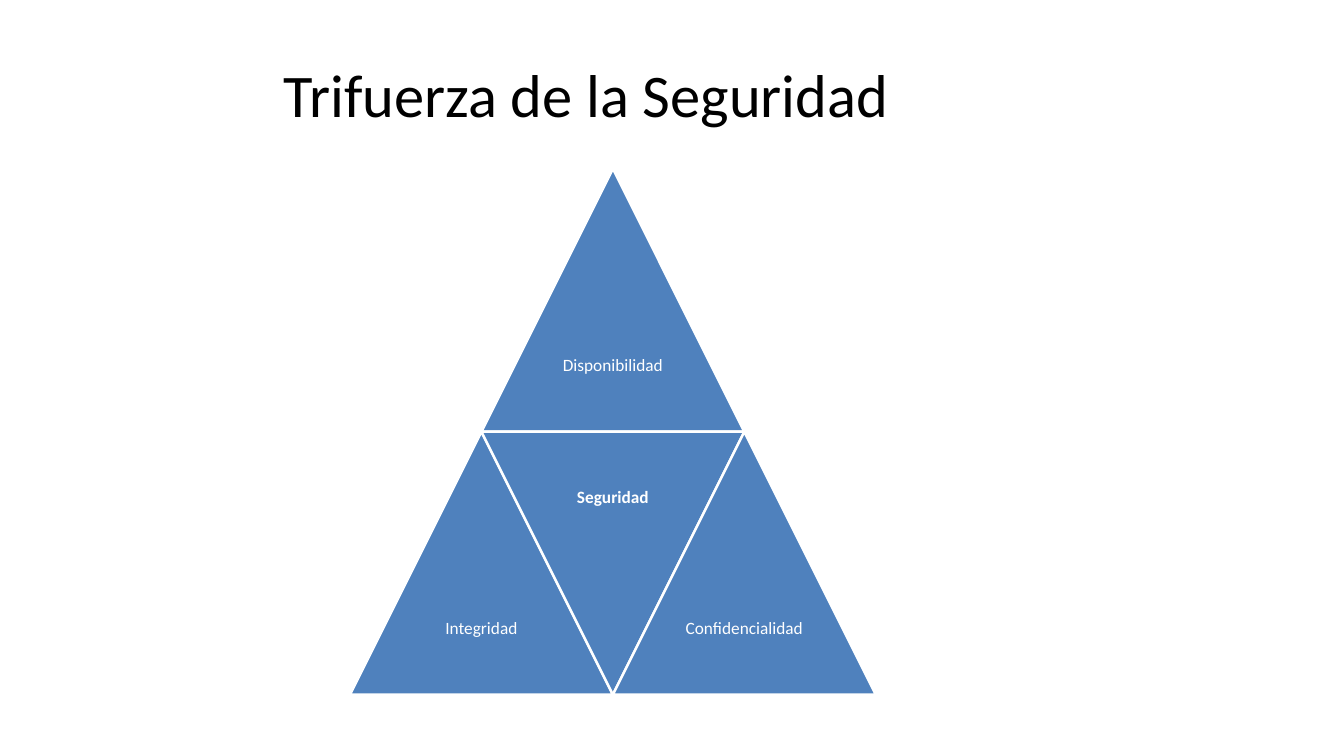
import pptx
import pptx.dml.color
import pptx.enum.shapes
import pptx.enum.text
import pptx.util

PX = 9144  # EMU per px, 100 px to the inch

THEME = {
    "font": "Calibri",
    "black": pptx.dml.color.RGBColor(0x00, 0x00, 0x00),
    "white": pptx.dml.color.RGBColor(0xFF, 0xFF, 0xFF),
    "blue": pptx.dml.color.RGBColor(0x4F, 0x81, 0xBD),
    "title_size": pptx.util.Pt(49),
    "label_size": pptx.util.Pt(14),
    "outline": pptx.util.Pt(2),
}


def write_text(shape, text, size, color, inset_x, inset_y, bold=False):
    frame = shape.text_frame
    frame.text = text
    frame.word_wrap = True
    frame.auto_size = pptx.enum.text.MSO_AUTO_SIZE.NONE
    frame.vertical_anchor = pptx.enum.text.MSO_ANCHOR.MIDDLE
    frame.margin_left = frame.margin_right = inset_x * PX
    frame.margin_top = frame.margin_bottom = inset_y * PX
    paragraph = frame.paragraphs[0]
    paragraph.alignment = pptx.enum.text.PP_ALIGN.CENTER
    font = paragraph.runs[0].font
    font.name = THEME["font"]
    font.size = size
    font.bold = bold
    font.color.rgb = color
    return paragraph


presentation = pptx.Presentation()
presentation.slide_width = 1513 * PX
presentation.slide_height = 851 * PX
slide = presentation.slides.add_slide(presentation.slide_layouts[5])

# Title
title = slide.shapes.title
title.left, title.top, title.width, title.height = 76 * PX, 34 * PX, 1167 * PX, 142 * PX
write_text(title, "Trifuerza de la Seguridad", THEME["title_size"], THEME["black"], 11, 6)

# Large triangle made of four: columns step by half a side, rows by a whole side
SIDE = 296
LEFT, TOP = 394, 190
UP = pptx.enum.shapes.MSO_SHAPE.ISOSCELES_TRIANGLE
DOWN = pptx.enum.shapes.MSO_SHAPE.FLOWCHART_MERGE
triangles = [
    ("Disponibilidad", UP, 1, 0),
    ("Integridad", UP, 0, 1),
    ("Seguridad", DOWN, 1, 1),
    ("Confidencialidad", UP, 2, 1),
]
for label, preset, column, row in triangles:
    triangle = slide.shapes.add_shape(
        preset,
        (LEFT + column * SIDE // 2) * PX,
        (TOP + row * SIDE) * PX,
        SIDE * PX,
        SIDE * PX,
    )
    triangle.shadow.inherit = False
    triangle.fill.solid()
    triangle.fill.fore_color.rgb = THEME["blue"]
    triangle.line.color.rgb = THEME["white"]
    triangle.line.width = THEME["outline"]
    paragraph = write_text(
        triangle, label, THEME["label_size"], THEME["white"], 6, 6, bold=preset == DOWN
    )
    paragraph.line_spacing = 0.9

presentation.save("out.pptx")
